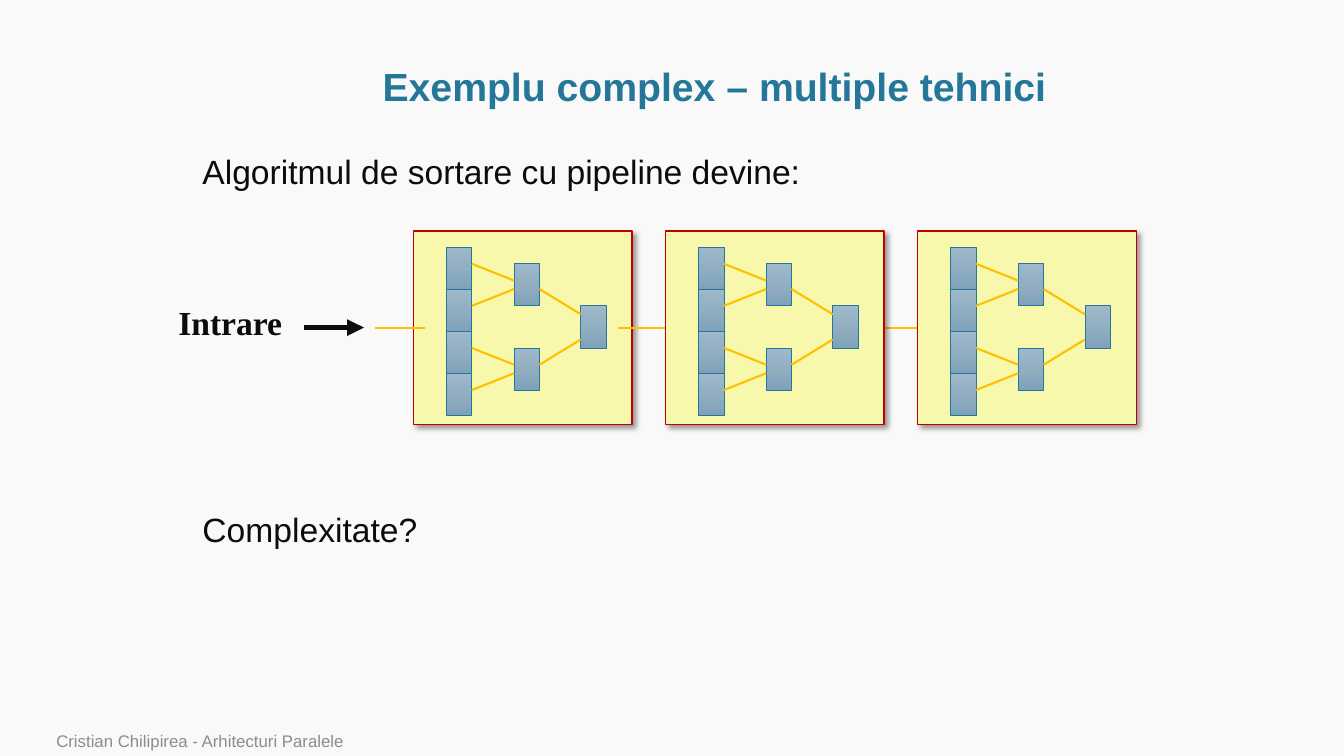
from copy import deepcopy
from dataclasses import dataclass

from lxml import etree
from pptx import Presentation
from pptx.dml.color import RGBColor
from pptx.enum.shapes import MSO_CONNECTOR as LINE, MSO_SHAPE as SHAPE
from pptx.enum.text import MSO_ANCHOR as ANCHOR, PP_ALIGN as ALIGN
from pptx.oxml.ns import qn
from pptx.util import Inches, Pt


@dataclass(frozen=True)
class Theme:
    background: str = "F9F9F9"
    ink: str = "0C0C0C"
    accent: str = "247798"
    muted: str = "8C8C8C"
    stage_fill: str = "F8F8AC"
    stage_line: str = "C00000"
    link: str = "FFC000"
    node_stops: tuple = ((0, "9FB9CB"), (50, "92AEC1"), (100, "7EA2BB"))
    sans: str = "Arial"
    serif: str = "Times New Roman"
    title_size: int = 28
    body_size: int = 24
    footer_size: int = 12


AXIS = 3.25
STAGE_LEFT, STAGE_TOP, STAGE_STEP = 4.1, 2.29, 2.5
STAGE_WIDTH, STAGE_HEIGHT = 2.17, 1.92
LEAVES_TOP = 2.45
NODE_WIDTH, NODE_HEIGHT = 0.25, 1.67 / 4
LEAF_X, MERGE_X, ROOT_X = 0.33, 1.0, 1.66


class SlideBuilder:
    def __init__(self, page, theme):
        self.page = page
        self.theme = theme
        page.background.fill.solid()
        page.background.fill.fore_color.rgb = RGBColor.from_string(theme.background)

    def text(self, lines, place, size, color, font=None, bold=False,
             anchor=ANCHOR.TOP, align=ALIGN.LEFT, wrap=True, gap=0):
        """Add a text box; gap is the space in points between its paragraphs."""
        box = self.page.shapes.add_textbox(*map(Inches, place))
        frame = box.text_frame
        frame.word_wrap = wrap
        frame.vertical_anchor = anchor
        frame.text = "\n".join(lines)
        for index, para in enumerate(frame.paragraphs):
            para.alignment = align
            if index:
                para.space_before = Pt(gap)
            for span in para.runs:
                span.font.name = font or self.theme.sans
                span.font.size = Pt(size)
                span.font.bold = bold
                span.font.color.rgb = RGBColor.from_string(color)

    def rectangle(self, canvas, place, line, weight):
        box = canvas.add_shape(SHAPE.RECTANGLE, *map(Inches, place))
        box.shadow.inherit = False
        box.line.color.rgb = RGBColor.from_string(line)
        box.line.width = Pt(weight)
        return box

    def link(self, canvas, start, end, color=None, weight=1.5, arrow=False):
        connector = canvas.add_connector(
            LINE.STRAIGHT, *map(Inches, (*start, *end)))
        connector.line.color.rgb = RGBColor.from_string(color or self.theme.link)
        connector.line.width = Pt(weight)
        if arrow:
            outline = connector.line._get_or_add_ln()
            etree.SubElement(outline, qn("a:tailEnd"), type="triangle")
        etree.SubElement(connector.element.spPr, qn("a:effectLst"))

    def node(self, canvas, left, top):
        """Add one processor, shaded from top to bottom."""
        box = self.rectangle(
            canvas, (left, top, NODE_WIDTH, NODE_HEIGHT), self.theme.accent, 0.5)
        box.fill.gradient()
        box.fill.gradient_angle = 270
        stop_list = box.element.spPr.find(f".//{qn('a:gsLst')}")
        stop_list.insert(1, deepcopy(stop_list[0]))
        for stop, (position, color) in zip(box.fill.gradient_stops,
                                           self.theme.node_stops):
            stop.position = position / 100
            stop.color.rgb = RGBColor.from_string(color)

    def stage_panel(self, canvas, left):
        panel = self.rectangle(
            canvas, (left, STAGE_TOP, STAGE_WIDTH, STAGE_HEIGHT),
            self.theme.stage_line, 1)
        panel.fill.solid()
        panel.fill.fore_color.rgb = RGBColor.from_string(self.theme.stage_fill)
        effects = panel.element.spPr.find(qn("a:effectLst"))
        shadow = etree.SubElement(
            effects, qn("a:outerShdw"), blurRad=str(Pt(4)), dist=str(Pt(3)),
            dir=str(45 * 60000), algn="tl", rotWithShape="0")
        color = etree.SubElement(shadow, qn("a:srgbClr"), val="000000")
        etree.SubElement(color, qn("a:alpha"), val="40000")

    def stage(self, index):
        """Add a pipeline stage: four leaves merged in pairs into one root."""
        left = STAGE_LEFT + index * STAGE_STEP
        canvas = self.page.shapes.add_group_shape().shapes
        leaf_x, merge_x, root_x = (left + x for x in (LEAF_X, MERGE_X, ROOT_X))
        leaf_tops = [LEAVES_TOP + i * NODE_HEIGHT for i in range(4)]
        merge_tops = [LEAVES_TOP + (0.4 + 2 * i) * NODE_HEIGHT for i in range(2)]
        root_top = LEAVES_TOP + 1.4 * NODE_HEIGHT

        self.stage_panel(canvas, left)
        for x, tops in ((leaf_x, leaf_tops), (merge_x, merge_tops),
                        (root_x, [root_top])):
            for top in tops:
                self.node(canvas, x, top)

        for i, top in enumerate(leaf_tops):
            port = (0.4, 0.6)[i % 2]
            self.link(canvas, (leaf_x + NODE_WIDTH, top + 0.4 * NODE_HEIGHT),
                      (merge_x, merge_tops[i // 2] + port * NODE_HEIGHT))
        for top, out_port, in_port in zip(merge_tops, (0.6, 0.4), (0.2, 0.8)):
            self.link(canvas, (merge_x + NODE_WIDTH, top + out_port * NODE_HEIGHT),
                      (root_x, root_top + in_port * NODE_HEIGHT))


def main():
    theme = Theme()
    deck = Presentation()
    deck.slide_width, deck.slide_height = Inches(13.33), Inches(7.5)
    page = deck.slides.add_slide(deck.slide_layouts[6])
    builder = SlideBuilder(page, theme)

    builder.text(["Algoritmul de sortare cu pipeline devine:", "Complexitate?"],
                 (1.91, 1.45, 9.37, 5.43), theme.body_size, theme.ink, gap=227)
    builder.text(["Exemplu complex – multiple tehnici"],
                 (1.14, 0.51, 11.89, 0.69), theme.title_size, theme.accent,
                 bold=True, anchor=ANCHOR.MIDDLE, align=ALIGN.CENTER)

    builder.stage(0)
    for start, end in ((3.72, 4.22), (6.13, 6.72), (8.63, 9.22)):
        builder.link(page.shapes, (start, AXIS), (end, AXIS))
    builder.text(["Intrare"], (1.67, 2.95, 1.24, 0.51), theme.body_size, theme.ink,
                 font=theme.serif, bold=True, wrap=False)
    builder.link(page.shapes, (3.02, AXIS), (3.61, AXIS), theme.ink, 4, arrow=True)
    for index in (1, 2):
        builder.stage(index)

    builder.text(["Cristian Chilipirea - Arhitecturi Paralele"],
                 (0.46, 7.22, 9.82, 0.28), theme.footer_size, theme.muted,
                 anchor=ANCHOR.BOTTOM)
    deck.save("out.pptx")


if __name__ == "__main__":
    main()
